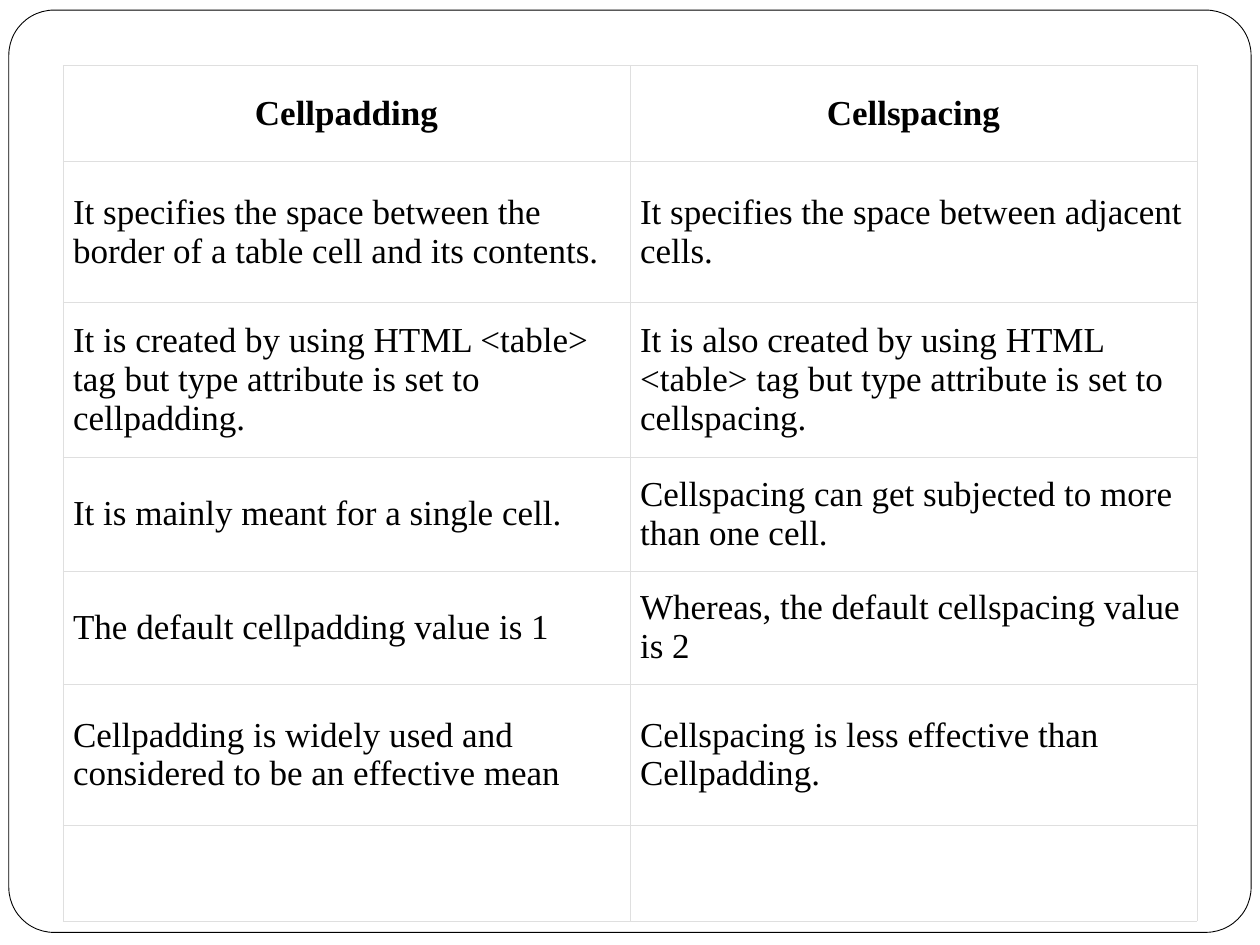
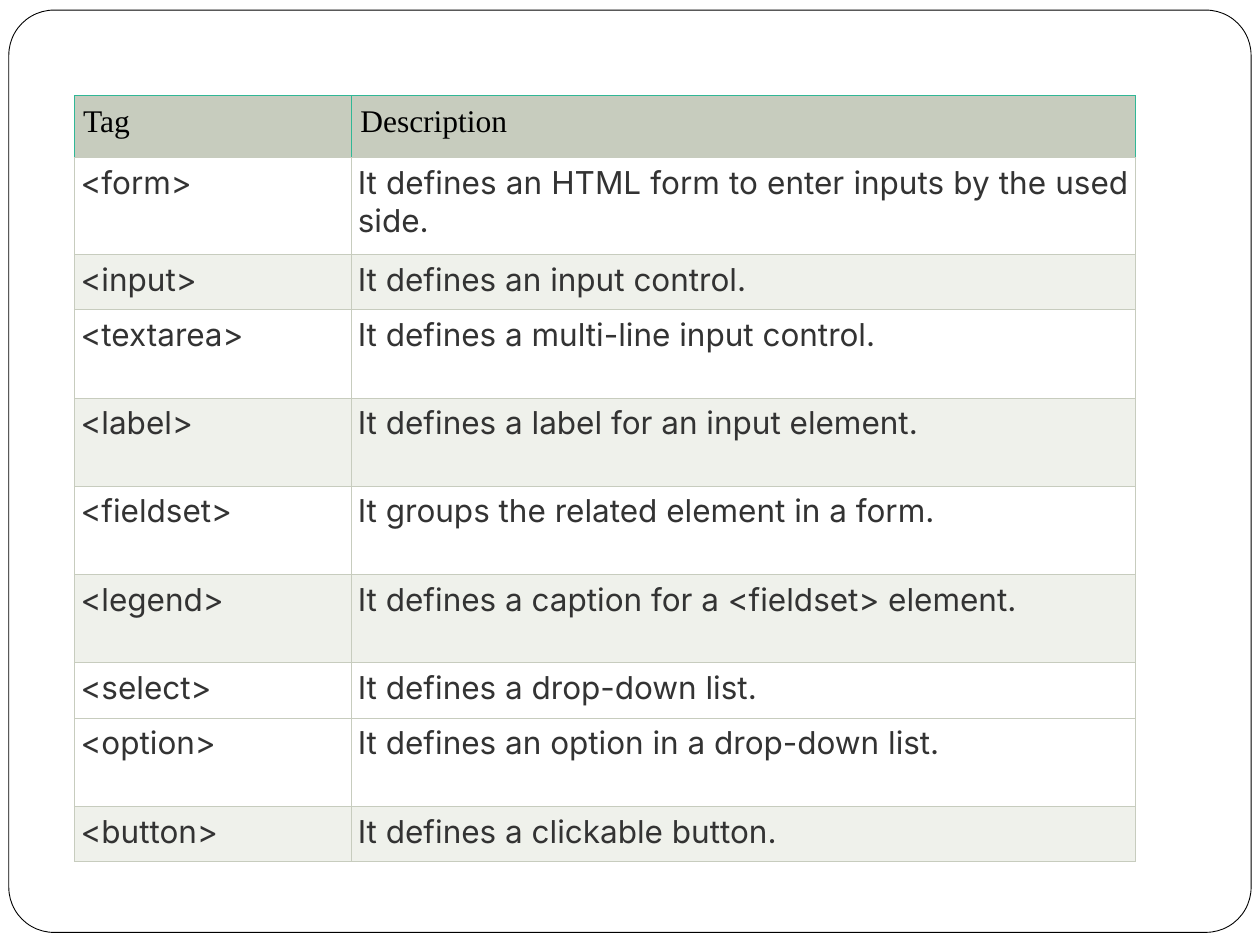
from lxml import etree
from pptx import Presentation
from pptx.dml.color import RGBColor
from pptx.enum.shapes import MSO_SHAPE
from pptx.enum.text import MSO_ANCHOR, PP_ALIGN
from pptx.oxml.ns import qn
from pptx.util import Inches, Pt

ROUNDED = MSO_SHAPE.ROUNDED_RECTANGLE
TOP, MIDDLE = MSO_ANCHOR.TOP, MSO_ANCHOR.MIDDLE
LEFT, CENTER, JUSTIFY = PP_ALIGN.LEFT, PP_ALIGN.CENTER, PP_ALIGN.JUSTIFY

SERIF, SANS = "Times New Roman", "Inter"
BLACK, WHITE, CHARCOAL = "000000", "FFFFFF", "333333"
PALE_GREY, SAGE, PALE_SAGE, TEAL = "DFDFDF", "C7CCBE", "EFF1EB", "30B796"

PADDING_ROWS = [
    ("Cellpadding", "Cellspacing"),
    ("It specifies the space between the border of a table cell and its contents.",
     "It specifies the space between adjacent cells."),
    ("It is created by using HTML <table> tag but type attribute is set to cellpadding.",
     "It is also created by using HTML <table> tag but type attribute is set to cellspacing."),
    ("It is mainly meant for a single cell.",
     "Cellspacing can get subjected to more than one cell."),
    ("The default cellpadding value is 1",
     "Whereas, the default cellspacing value is 2"),
    ("Cellpadding is widely used and considered to be an effective mean",
     "Cellspacing is less effective than Cellpadding."),
    ("", ""),
]
PADDING_HEIGHTS = [0.76, 1.12, 1.23, 0.9, 0.9, 1.12, 0.76]

TAG_ROWS = [
    ("Tag", "Description"),
    ("<form>", "It defines an HTML form to enter inputs by the used side."),
    ("<input>", "It defines an input control."),
    ("<textarea>", "It defines a multi-line input control."),
    ("<label>", "It defines a label for an input element."),
    ("<fieldset>", "It groups the related element in a form."),
    ("<legend>", "It defines a caption for a <fieldset> element."),
    ("<select>", "It defines a drop-down list."),
    ("<option>", "It defines an option in a drop-down list."),
    ("<button>", "It defines a clickable button."),
]
TAG_HEIGHTS = [0.49, 0.77, 0.44, 0.7, 0.7, 0.7, 0.7, 0.44, 0.7, 0.44]
SHADED_TAGS = {"<input>", "<label>", "<legend>", "<button>"}


def rgb(value):
    return RGBColor.from_string(value)


class Deck:
    def __init__(self):
        self.prs = Presentation()
        self.prs.slide_width, self.prs.slide_height = Inches(10), Inches(7.5)
        self.slide = None

    def new_slide(self):
        """Start a slide with the rounded frame that all slides share."""
        self.slide = self.prs.slides.add_slide(self.prs.slide_layouts[6])
        frame = self.slide.shapes.add_shape(
            ROUNDED, Inches(0.07), Inches(0.08), Inches(9.86), Inches(7.32))
        frame.adjustments[0] = 0.049
        frame.shadow.inherit = False
        frame.fill.solid()
        frame.fill.fore_color.rgb = rgb(WHITE)
        frame.line.color.rgb = rgb(BLACK)
        frame.line.width = Pt(0.5)

    def table(self, left, top, widths, heights):
        grid = self.slide.shapes.add_table(
            len(heights), len(widths), Inches(left), Inches(top),
            Inches(sum(widths)), Inches(sum(heights))).table
        grid.first_row = grid.horz_banding = False
        for column, width in zip(grid.columns, widths):
            column.width = Inches(width)
        for row, height in zip(grid.rows, heights):
            row.height = Inches(height)
        return grid

    def cell(self, cell, text, size, font=SERIF, color=BLACK, bold=False,
             align=LEFT, anchor=TOP, insets=(0.05, 0.05), fill=WHITE):
        cell.fill.solid()
        cell.fill.fore_color.rgb = rgb(fill)
        cell.vertical_anchor = anchor
        cell.margin_left = cell.margin_right = Inches(insets[0])
        cell.margin_top = cell.margin_bottom = Inches(insets[1])
        if not text:
            return
        paragraph = cell.text_frame.paragraphs[0]
        paragraph.alignment = align
        run = paragraph.add_run()
        run.text = text
        run.font.name, run.font.size, run.font.bold = font, Pt(size), bold
        run.font.color.rgb = rgb(color)

    def borders(self, cell, width, color, bottom=None):
        properties = cell._tc.get_or_add_tcPr()
        for position, side in enumerate("LRTB"):
            line = etree.Element(qn(f"a:ln{side}"), w=str(Pt(width)))
            fill = etree.SubElement(line, qn("a:solidFill"))
            shade = bottom if side == "B" and bottom else color
            etree.SubElement(fill, qn("a:srgbClr"), val=shade)
            properties.insert(position, line)


def add_padding_comparison(deck):
    deck.new_slide()
    grid = deck.table(0.5, 0.52, [4.5, 4.5], PADDING_HEIGHTS)
    for r, texts in enumerate(PADDING_ROWS):
        for c, text in enumerate(texts):
            cell = grid.cell(r, c)
            deck.cell(cell, text, 20, bold=r == 0, align=LEFT if r else CENTER,
                      anchor=MIDDLE, insets=(0.08, 0.12))
            deck.borders(cell, 0.18, PALE_GREY)


def add_form_tags(deck):
    deck.new_slide()
    grid = deck.table(0.59, 0.76, [2.2, 6.22], TAG_HEIGHTS)
    for r, texts in enumerate(TAG_ROWS):
        for c, text in enumerate(texts):
            cell = grid.cell(r, c)
            if r == 0:
                deck.cell(cell, text, 18, insets=(0.07, 0.07), fill=SAGE)
                deck.borders(cell, 0.6, TEAL, bottom=SAGE)
            else:
                deck.cell(cell, text, 18, SANS, CHARCOAL, align=JUSTIFY,
                          fill=PALE_SAGE if texts[0] in SHADED_TAGS else WHITE)
                deck.borders(cell, 0.6, SAGE)


def main():
    deck = Deck()
    add_padding_comparison(deck)
    add_form_tags(deck)
    deck.prs.save("out.pptx")


if __name__ == "__main__":
    main()
